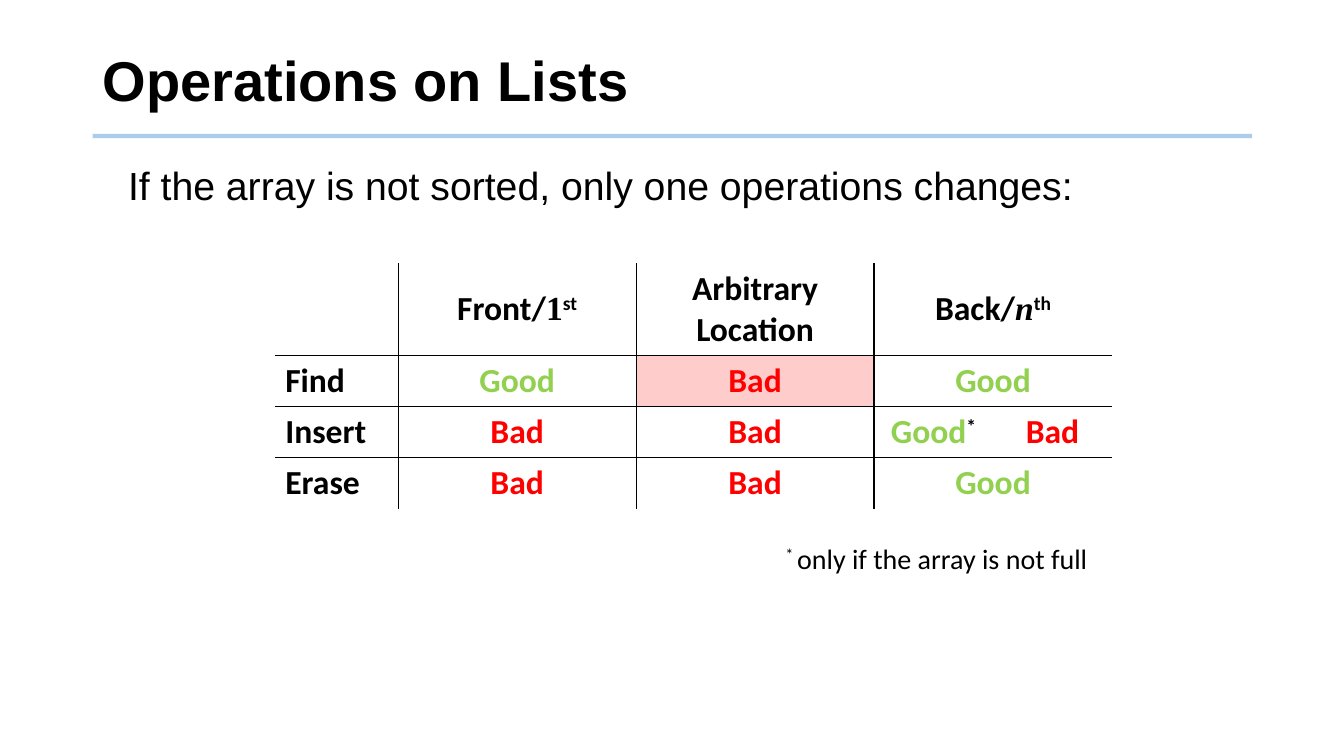
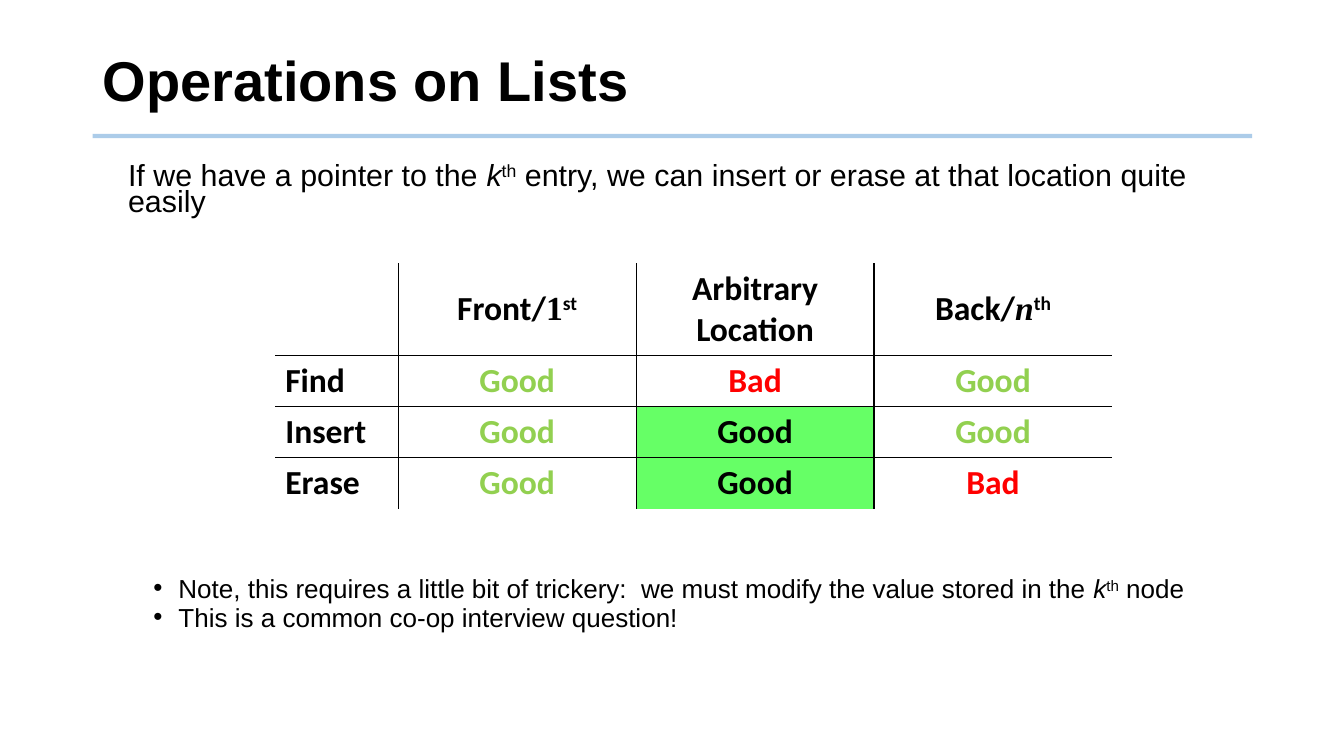
from lxml.etree import SubElement
from pptx import Presentation
from pptx.dml.color import RGBColor
from pptx.enum.shapes import MSO_CONNECTOR
from pptx.enum.text import MSO_ANCHOR, MSO_AUTO_SIZE, PP_ALIGN
from pptx.oxml.ns import qn
from pptx.util import Inches, Pt

BLACK, GREEN, RED, RULE = "000000", "92D050", "FF0000", "5B9BD5"
PINK, LIME = "FFCCCC", "66FF66"
NO_GRID = "{2D5ABB26-0587-4C30-8999-92F81FD0307C}"

PAGE = (13.33, 7.5)
MARGIN, CONTENT_WIDTH = 0.92, 11.5
TITLE_BOX = (MARGIN, 0.28, CONTENT_WIDTH, 1.1)
BODY_BOX = (MARGIN, 1.6, CONTENT_WIDTH, 5.15)
RULE_TOP = 1.35
TABLE_LEFT, TABLE_TOP = 2.73, 2.61
LABEL_WIDTH, COLUMN_WIDTH = 1.22, 2.36
ROW_HEIGHTS = (0.86, 0.5, 0.5, 0.5)
FOOTNOTE_BOX = (7.69, 5.32, 3.62, 0.44)

TITLE_FONT = {"name": "Arial", "size": 40, "bold": True, "color": BLACK}
BODY_FONT = {"name": "Arial", "bold": False, "color": BLACK}
TABLE_FONT = {"name": "Calibri", "size": 24, "bold": True, "color": BLACK}
FOOTNOTE_FONT = {"name": "Calibri", "size": 20, "color": BLACK}

ITALIC, RAISED = {"italic": True}, {"raised": True}
SERIF = {"name": "Times New Roman"}
KTH = [("k", ITALIC), ("th", RAISED)]
GOOD, BAD = [("Good", {"color": GREEN})], [("Bad", {"color": RED})]
PLAIN_GOOD = [("Good", {})]
HEADINGS = [
    [],
    [("Front/", {}), ("1", SERIF), ("st", RAISED)],
    [("Arbitrary Location", {})],
    [("Back/", {}), ("n", SERIF | ITALIC), ("th", RAISED)],
]
OPERATIONS = ("Find", "Insert", "Erase")

# A last entry that is a tuple splits the Back column in two.
SLIDES = [
    {
        "title": "Operations on Lists",
        "body": [
            {"runs": [("If the array is not sorted, only one operations changes:", {})],
             "size": 28, "spacing": 0.9},
        ],
        "ratings": [[GOOD, BAD, GOOD],
                    [BAD, BAD, (GOOD + [("*", RAISED)], BAD)],
                    [BAD, BAD, GOOD]],
        "highlights": {(1, 2): PINK},
        "footnote": [("* ", RAISED), ("only if the array is not full", {})],
    },
    {
        "title": "Operations on Lists",
        "body": [
            {"runs": [("If we have a pointer to the ", {}), *KTH,
                      (" entry, we can insert or erase at that location quite easily", {})],
             "size": 21.7, "spacing": 0.7},
            {"runs": [("Note, this requires a little bit of trickery:  we must modify "
                       "the value stored in the ", {}), *KTH, (" node", {})],
             "size": 18.6, "spacing": 0.7, "before": 260, "bullet": True},
            {"runs": [("This is a common co-op interview question!", {})],
             "size": 18.6, "spacing": 0.7, "before": 5, "bullet": True},
        ],
        "ratings": [[GOOD, BAD, GOOD],
                    [GOOD, PLAIN_GOOD, GOOD],
                    [GOOD, PLAIN_GOOD, BAD]],
        "highlights": {(2, 2): LIME, (3, 2): LIME},
    },
]


def rgb(value):
    return RGBColor.from_string(value)


def place(shape, box):
    for side, length in zip(("left", "top", "width", "height"), box):
        setattr(shape, side, Inches(length))


def write(paragraph, runs, base):
    """Add (text, changes) runs, each formatted by base plus its changes."""
    for text, changes in runs:
        run = paragraph.add_run()
        run.text = text
        for key, value in (base | changes).items():
            if key == "color":
                run.font.color.rgb = rgb(value)
            elif key == "raised":
                run._r.get_or_add_rPr().set("baseline", "30000")
            else:
                setattr(run.font, key, Pt(value) if key == "size" else value)


def add_title(slide, text):
    paragraph = slide.shapes.title.text_frame.paragraphs[0]
    paragraph.alignment, paragraph.line_spacing = PP_ALIGN.LEFT, 0.9
    write(paragraph, [(text, {})], TITLE_FONT)


def add_rule(slide):
    rule = slide.shapes.add_connector(
        MSO_CONNECTOR.STRAIGHT, Inches(MARGIN), Inches(RULE_TOP),
        Inches(MARGIN + CONTENT_WIDTH), Inches(RULE_TOP))
    rule.line.width = Pt(3)
    rule.line.color.rgb = rgb(RULE)
    color = rule._element.spPr.find(".//" + qn("a:srgbClr"))
    SubElement(color, qn("a:alpha"), val="50000")
    SubElement(rule._element.spPr, qn("a:effectLst"))


def add_body(slide, items):
    frame = slide.placeholders[1].text_frame
    frame.auto_size = MSO_AUTO_SIZE.NONE
    for index, item in enumerate(items):
        paragraph = frame.add_paragraph() if index else frame.paragraphs[0]
        bullet = item.get("bullet", False)
        properties = paragraph._p.get_or_add_pPr()
        properties.set("marL", str(Inches(0.75 if bullet else 0.25)))
        properties.set("indent", str(Inches(-0.25 if bullet else 0)))
        paragraph.level = int(bullet)
        paragraph.line_spacing = item["spacing"]
        paragraph.space_before = Pt(item.get("before", 0))
        if bullet:
            SubElement(properties, qn("a:buFont"), typeface="Arial")
            SubElement(properties, qn("a:buChar"), char="•")
        else:
            SubElement(properties, qn("a:buNone"))
        write(paragraph, item["runs"], BODY_FONT | {"size": item["size"]})


def set_borders(cell, row, column):
    """Rule off the first two rows and the first two columns."""
    sides = {"L": column in (1, 2), "R": column < 2, "T": row in (1, 2), "B": row < 2}
    for side, shown in sides.items():
        if shown:
            line = SubElement(cell._tc.get_or_add_tcPr(), qn("a:ln" + side), w=str(Pt(1)))
            fill = SubElement(line, qn("a:solidFill"))
            SubElement(fill, qn("a:srgbClr"), val=BLACK)


def add_ratings(slide, ratings, highlights):
    split = any(isinstance(row[-1], tuple) for row in ratings)
    widths = [LABEL_WIDTH] + [COLUMN_WIDTH] * 2
    widths += [COLUMN_WIDTH / 2] * 2 if split else [COLUMN_WIDTH]
    rows = [HEADINGS] + [[[(name, {})], *row] for name, row in zip(OPERATIONS, ratings)]
    frame = slide.shapes.add_table(
        len(rows), len(widths), Inches(TABLE_LEFT), Inches(TABLE_TOP),
        Inches(sum(widths)), Inches(sum(ROW_HEIGHTS)))
    table = frame.table
    table.first_row = table.horz_banding = False
    table._tbl.tblPr.find(qn("a:tableStyleId")).text = NO_GRID
    for column, width in zip(table.columns, widths):
        column.width = Inches(width)
    for row, (entries, height) in enumerate(zip(rows, ROW_HEIGHTS)):
        table.rows[row].height = Inches(height)
        halves = isinstance(entries[-1], tuple)
        if split and not halves:
            table.cell(row, 3).merge(table.cell(row, 4))
        cells = [*entries[:-1], *entries[-1]] if halves else entries
        for column in range(len(widths)):
            cell = table.cell(row, column)
            set_borders(cell, row, column)
            if (row, column) in highlights:
                cell.fill.solid()
                cell.fill.fore_color.rgb = rgb(highlights[row, column])
            else:
                cell.fill.background()
            if cell.is_spanned:
                continue
            cell.vertical_anchor = MSO_ANCHOR.TOP if row else MSO_ANCHOR.MIDDLE
            paragraph = cell.text_frame.paragraphs[0]
            paragraph.alignment = PP_ALIGN.CENTER if column else PP_ALIGN.LEFT
            write(paragraph, cells[column], TABLE_FONT)


def add_footnote(slide, runs):
    box = slide.shapes.add_textbox(*map(Inches, FOOTNOTE_BOX))
    box.text_frame.word_wrap = True
    write(box.text_frame.paragraphs[0], runs, FOOTNOTE_FONT)


def main():
    deck = Presentation()
    deck.slide_width, deck.slide_height = map(Inches, PAGE)
    layout = deck.slide_layouts[1]
    for placeholder, box, anchor in zip(layout.placeholders, (TITLE_BOX, BODY_BOX),
                                        (MSO_ANCHOR.MIDDLE, MSO_ANCHOR.TOP)):
        place(placeholder, box)
        placeholder.text_frame.vertical_anchor = anchor
    for content in SLIDES:
        slide = deck.slides.add_slide(layout)
        add_rule(slide)
        add_title(slide, content["title"])
        add_body(slide, content["body"])
        add_ratings(slide, content["ratings"], content["highlights"])
        if "footnote" in content:
            add_footnote(slide, content["footnote"])
    deck.save("out.pptx")


if __name__ == "__main__":
    main()
